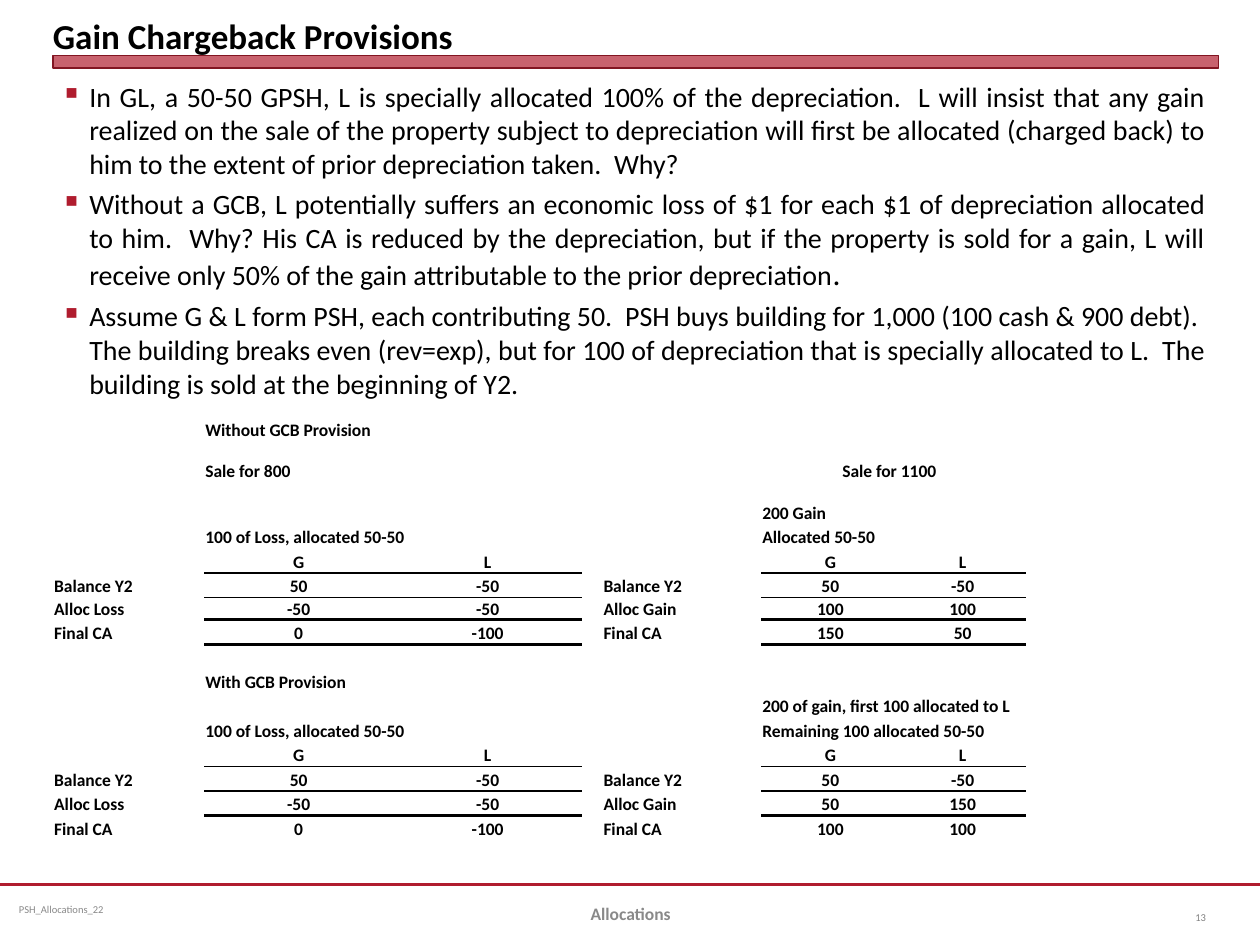
from dataclasses import dataclass

from lxml import etree
from pptx import Presentation
from pptx.dml.color import RGBColor
from pptx.enum.shapes import MSO_CONNECTOR, MSO_SHAPE
from pptx.enum.text import MSO_ANCHOR, PP_ALIGN
from pptx.oxml.ns import qn
from pptx.slide import Slide
from pptx.util import Inches, Pt

LEFT, CENTER, RIGHT, JUSTIFY = PP_ALIGN.LEFT, PP_ALIGN.CENTER, PP_ALIGN.RIGHT, PP_ALIGN.JUSTIFY
TOP, MIDDLE, BOTTOM = MSO_ANCHOR.TOP, MSO_ANCHOR.MIDDLE, MSO_ANCHOR.BOTTOM
RECTANGLE, STRAIGHT = MSO_SHAPE.RECTANGLE, MSO_CONNECTOR.STRAIGHT
NO_GRID_STYLE = "{2D5ABB26-0587-4C30-8999-92F81FD0307C}"

COLORS = {
    "black": "000000",
    "crimson": "B01C2E",
    "maroon": "821522",
    "footer": "898989",
    "number": "808080",
}

BULLETS = [
    [("In GL, a 50-50 GPSH, L is specially allocated 100% of the depreciation.  L will insist that "
      "any gain realized on the sale of the property subject to depreciation will first be allocated "
      "(charged back) to him to the extent of prior depreciation taken.  Why?", 16)],
    [("Without a GCB, L potentially suffers an economic loss of $1 for each $1 of depreciation "
      "allocated to him.  Why? His CA is reduced by the depreciation, but if the property is sold "
      "for a gain, L will receive only 50% of the gain attributable to the prior depreciation", 16),
     (".", 18)],
    [("Assume G & L form PSH, each contributing 50.  PSH buys building for 1,000 (100 cash & 900 "
      "debt).  The building breaks even (rev=exp), but for 100 of depreciation that is specially "
      "allocated to L.  The building is sold at the beginning of Y2.", 16)],
]

TABLE_HEIGHT = 3.49
COLUMN_WIDTHS = [1.2, 1.5, 1.5, 0.16, 1.26, 1.1, 0.3, 0.7, 1.86]
TALL_ROWS = [0.33] * 3
SHORT_ROW = 0.17
ROW = (TABLE_HEIGHT - sum(TALL_ROWS) - SHORT_ROW) / 12
ROW_HEIGHTS = TALL_ROWS + [ROW] * 3 + [SHORT_ROW] + [ROW] * 9

HEADINGS = [
    (0, 1, 2, "Without GCB Provision", LEFT),
    (0, 5, 2, "", LEFT),
    (1, 1, 1, "Sale for 800", LEFT),
    (1, 5, 2, "Sale for 1100", RIGHT),
    (2, 5, 2, "200 Gain", LEFT),
    (3, 1, 4, "100 of Loss, allocated 50-50", LEFT),
    (3, 5, 3, "Allocated 50-50", LEFT),
    (8, 6, 2, "", LEFT),
    (9, 1, 2, "With GCB Provision", LEFT),
    (9, 6, 2, "", LEFT),
    (10, 5, 4, "200 of gain, first 100 allocated to L", LEFT),
    (11, 1, 4, "100 of Loss, allocated 50-50", LEFT),
    (11, 5, 4, "Remaining 100 allocated 50-50", LEFT),
]

LEDGERS = [
    (4, 0, "Alloc Loss", [("50", "-50"), ("-50", "-50"), ("0", "-100")]),
    (4, 4, "Alloc Gain", [("50", "-50"), ("100", "100"), ("150", "50")]),
    (12, 0, "Alloc Loss", [("50", "-50"), ("-50", "-50"), ("0", "-100")]),
    (12, 4, "Alloc Gain", [("50", "-50"), ("50", "150"), ("100", "100")]),
]
LEDGER_RULES = [("a:lnB", 1), ("a:lnT", 1), ("a:lnB", 2), ("a:lnT", 2)]


def add_span(para, text, *, size, color="black", bold=False, font="Calibri"):
    span = para.add_run()
    span.text = text
    span.font.name = font
    span.font.size = Pt(size)
    span.font.bold = bold
    span.font.color.rgb = RGBColor.from_string(COLORS[color])


def add_element(parent, tag, **attributes):
    return etree.SubElement(parent, qn(tag), **attributes)


def ledger_entries():
    for first_row, first_column, allocation, values in LEDGERS:
        labels = ["", "Balance Y2", allocation, "Final CA"]
        for offset, (label, amounts) in enumerate(zip(labels, [("G", "L")] + values)):
            row = first_row + offset
            yield row, first_column, 1, label, LEFT, None
            for column, amount in enumerate(amounts, first_column + 1):
                width = 2 if column == 6 else 1
                yield row, column, width, amount, CENTER, LEDGER_RULES[offset]


@dataclass
class SlideBuilder:
    page: Slide
    cell_size: int = 10

    def text_box(self, place, text="", align=LEFT, anchor=MIDDLE, insets=(0.1, 0.05), **style):
        box = self.page.shapes.add_textbox(*map(Inches, place))
        frame = box.text_frame
        frame.word_wrap = True
        frame.vertical_anchor = anchor
        frame.margin_left = frame.margin_right = Inches(insets[0])
        frame.margin_top = frame.margin_bottom = Inches(insets[1])
        frame.paragraphs[0].alignment = align
        if text:
            add_span(frame.paragraphs[0], text, **style)
        return frame

    def bullet_box(self, place, bullets):
        frame = self.text_box(place, anchor=TOP)
        for index, spans in enumerate(bullets):
            para = frame.add_paragraph() if index else frame.paragraphs[0]
            para.alignment = JUSTIFY
            if index:
                para.space_before = Pt(4)
            properties = para._p.get_or_add_pPr()
            properties.set("marL", str(Inches(0.19)))
            properties.set("indent", str(-Inches(0.19)))
            bullet_color = add_element(properties, "a:buClr")
            add_element(bullet_color, "a:srgbClr", val=COLORS["crimson"])
            add_element(properties, "a:buSzPct", val="60000")
            add_element(properties, "a:buChar", char="■")
            for text, size in spans:
                add_span(para, text, size=size)

    def bar(self, place, fill, line, opacity):
        bar = self.page.shapes.add_shape(RECTANGLE, *map(Inches, place))
        bar.shadow.inherit = False
        bar.fill.solid()
        bar.fill.fore_color.rgb = RGBColor.from_string(COLORS[fill])
        color = bar._element.spPr.find(qn("a:solidFill")).find(qn("a:srgbClr"))
        add_element(color, "a:alpha", val=str(opacity * 1000))
        bar.line.color.rgb = RGBColor.from_string(COLORS[line])
        bar.line.width = Pt(0)

    def rule(self, ends, color, width):
        rule = self.page.shapes.add_connector(STRAIGHT, *map(Inches, ends))
        rule.line.color.rgb = RGBColor.from_string(COLORS[color])
        rule.line.width = Pt(width)
        add_element(rule._element.spPr, "a:effectLst")

    def table(self, place, widths, heights):
        grid = self.page.shapes.add_table(len(heights), len(widths), *map(Inches, place)).table
        grid.first_row = grid.horz_banding = False
        grid._tbl.tblPr.find(qn("a:tableStyleId")).text = NO_GRID_STYLE
        for column, width in zip(grid.columns, widths):
            column.width = Inches(width)
        for row, height in zip(grid.rows, heights):
            row.height = Inches(height)
        for row, column, width, text, align, border in ledger_entries():
            self.entry(grid, row, column, width, text, align, border)
        for heading in HEADINGS:
            self.entry(grid, *heading)
        for cell in grid.iter_cells():
            cell.fill.background()
            cell.vertical_anchor = BOTTOM
            cell.margin_left = cell.margin_right = cell.margin_top = Inches(0.01)
            cell.margin_bottom = 0
            add_element(cell.text_frame.paragraphs[0]._p, "a:endParaRPr", sz=str(self.cell_size * 100))

    def entry(self, grid, row, column, width, text, align, border=None):
        cell = grid.cell(row, column)
        if width > 1:
            cell.merge(grid.cell(row, column + width - 1))
        para = cell.text_frame.paragraphs[0]
        para.alignment = align
        if text:
            add_span(para, text, size=self.cell_size, bold=True)
        if border:
            side, points = border
            for offset in range(width):
                edge_cell = grid.cell(row, column + offset)
                properties = edge_cell._tc.get_or_add_tcPr()
                edge = add_element(properties, side, w=str(Pt(points)))
                fill = add_element(edge, "a:solidFill")
                add_element(fill, "a:srgbClr", val=COLORS["black"])


def main():
    deck = Presentation()
    deck.slide_width, deck.slide_height = Inches(10), Inches(7.5)
    builder = SlideBuilder(deck.slides.add_slide(deck.slide_layouts[6]))
    builder.rule((0, 7.02, 10, 7.02), "crimson", 1.25)
    builder.text_box((0.08, 7.02, 2.58, 0.4), "PSH_Allocations_22",
                     insets=(0.07, 0.04), size=6, color="footer")
    builder.bar((0.42, 0.44, 9.25, 0.1), "crimson", "maroon", 69)
    builder.bullet_box((0.42, 0.58, 9.25, 6.36), BULLETS)
    builder.text_box((0.42, 0.05, 9.25, 0.4), "Gain Chargeback Provisions",
                     anchor=BOTTOM, insets=(0, 0), size=20, bold=True)
    builder.text_box((9.17, 7.08, 0.5, 0.4), "13", align=RIGHT, size=6, color="number")
    builder.table((0.42, 3.17, sum(COLUMN_WIDTHS), TABLE_HEIGHT), COLUMN_WIDTHS, ROW_HEIGHTS)
    builder.text_box((3.42, 7.05, 3.17, 0.4), "Allocations",
                     align=CENTER, size=10, color="footer", bold=True)
    deck.save("out.pptx")


if __name__ == "__main__":
    main()
